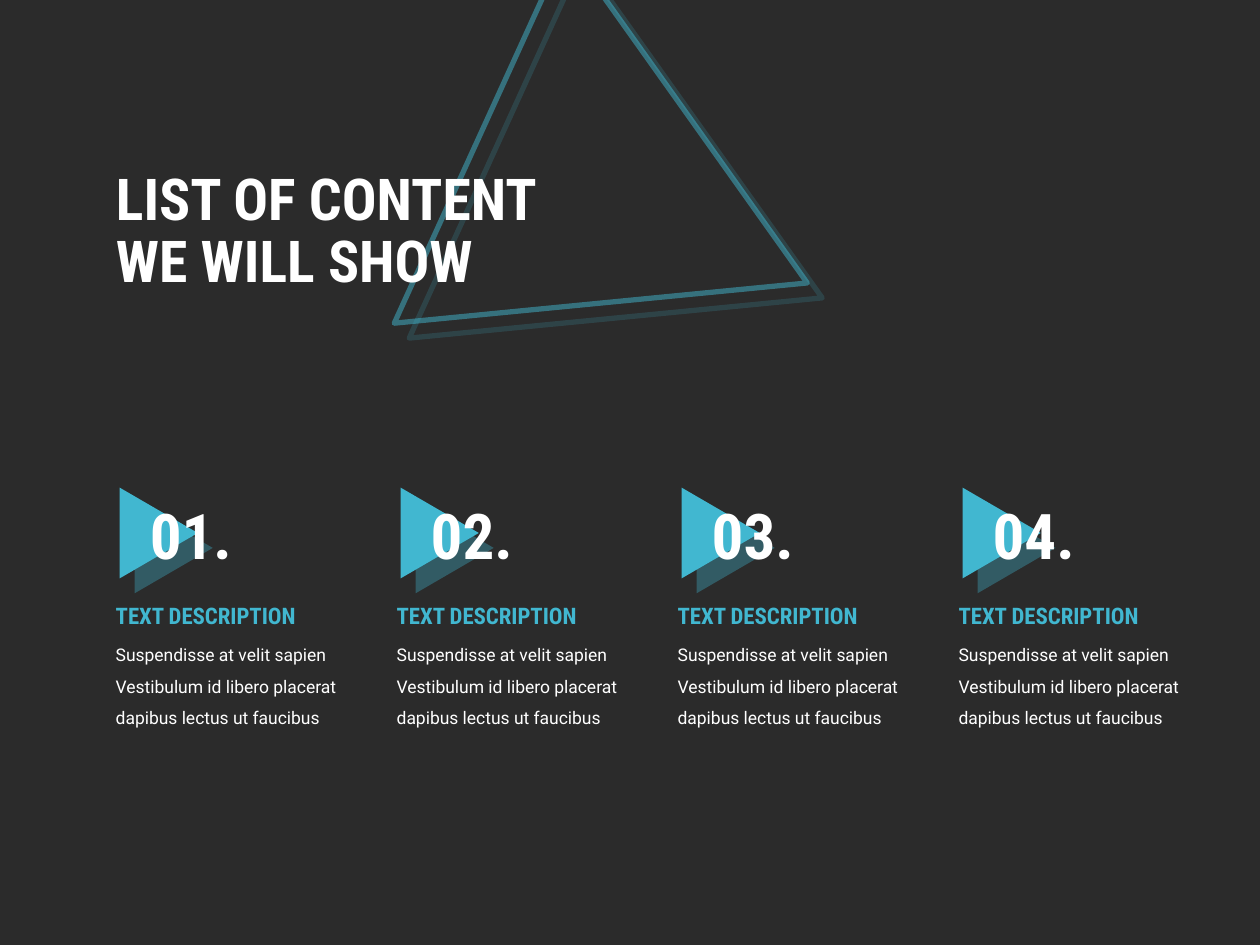
from copy import deepcopy
from dataclasses import dataclass

from lxml.etree import SubElement
from pptx import Presentation
from pptx.dml.color import RGBColor
from pptx.enum.shapes import MSO_SHAPE
from pptx.enum.text import MSO_ANCHOR, MSO_AUTO_SIZE, PP_ALIGN
from pptx.oxml.ns import qn
from pptx.shapes.autoshape import Shape
from pptx.slide import Slide
from pptx.text.text import _Paragraph as Paragraph
from pptx.util import Inches, Pt

BACKGROUND = RGBColor(0x2B, 0x2B, 0x2B)
TEAL = RGBColor(0x41, 0xB7, 0xD0)
WHITE = RGBColor(0xFF, 0xFF, 0xFF)

HEADING_FONT = "Roboto Condensed"
BODY_FONT = "Roboto"
FIRST_COLUMN_LEFT = 0.82
COLUMN_STEP = 2.23


@dataclass(frozen=True)
class TextStyle:
    font: str
    size: float
    color: RGBColor
    bold: bool = True
    line_spacing: float = 1.0


@dataclass(frozen=True)
class ContentItem:
    number: str
    heading: str
    body: str


TITLE_STYLE = TextStyle(HEADING_FONT, 33, WHITE, line_spacing=0.9)
NUMBER_STYLE = TextStyle(HEADING_FONT, 36, WHITE)
HEADING_STYLE = TextStyle(HEADING_FONT, 13, TEAL)
BODY_STYLE = TextStyle(BODY_FONT, 10, WHITE, bold=False, line_spacing=1.5)

BODY = ("Suspendisse at velit sapien Vestibulum id libero placerat "
        "dapibus lectus ut faucibus")
ITEMS = [ContentItem(f"{number:02d}.", "TEXT DESCRIPTION", BODY)
         for number in range(1, 5)]


def set_alpha(color_element, percent: int) -> None:
    SubElement(color_element, qn("a:alpha"), val=str(percent * 1000))


def add_hard_shadow(shape: Shape) -> None:
    """Cast an unblurred, translucent teal shadow to the lower right."""
    shape.shadow.inherit = False
    effects = shape._element.spPr.find(qn("a:effectLst"))
    shadow = SubElement(effects, qn("a:outerShdw"), blurRad="0",
                        dist=str(Pt(12.1)), dir=str(45 * 60000),
                        algn="tl", rotWithShape="0")
    set_alpha(SubElement(shadow, qn("a:srgbClr"), val=str(TEAL)), 35)


def add_triangle(slide: Slide, left: float, top: float, width: float,
                 height: float, rotation: float) -> Shape:
    triangle = slide.shapes.add_shape(
        MSO_SHAPE.ISOSCELES_TRIANGLE,
        Inches(left), Inches(top), Inches(width), Inches(height))
    triangle.rotation = rotation
    add_hard_shadow(triangle)
    return triangle


def add_outlined_triangle(slide: Slide) -> None:
    triangle = add_triangle(slide, 3.46, 0.23, 3.3, 2.85, 114.5)
    triangle.fill.background()
    triangle.line.color.rgb = TEAL
    triangle.line.width = Pt(3)
    set_alpha(triangle.line._ln.find(".//" + qn("a:srgbClr")), 50)


def add_filled_triangle(slide: Slide, left: float) -> None:
    triangle = add_triangle(slide, left, 3.92, 0.72, 0.62, 90)
    triangle.fill.solid()
    triangle.fill.fore_color.rgb = TEAL
    triangle.line.fill.background()


def format_paragraph(paragraph: Paragraph, style: TextStyle) -> None:
    paragraph.alignment = PP_ALIGN.LEFT
    paragraph.line_spacing = style.line_spacing
    for run in paragraph.runs:
        run.font.name = style.font
        run.font.size = Pt(style.size)
        run.font.bold = style.bold
        run.font.color.rgb = style.color


def add_text(slide: Slide, text: str, style: TextStyle, left: float,
             top: float, width: float, height: float) -> None:
    box = slide.shapes.add_textbox(
        Inches(left), Inches(top), Inches(width), Inches(height))
    box.text_frame.word_wrap = True
    box.text_frame.auto_size = MSO_AUTO_SIZE.SHAPE_TO_FIT_TEXT
    box.text_frame.text = text
    format_paragraph(box.text_frame.paragraphs[0], style)


def place_title(slide: Slide, text: str) -> None:
    title = slide.shapes.title
    title.left, title.top = Inches(FIRST_COLUMN_LEFT), Inches(1.06)
    title.width, title.height = Inches(4.22), Inches(1.58)
    title.text_frame.text = text
    title.text_frame.word_wrap = True
    title.text_frame.auto_size = MSO_AUTO_SIZE.NONE
    title.text_frame.vertical_anchor = MSO_ANCHOR.MIDDLE
    paragraph = title.text_frame.paragraphs[0]
    format_paragraph(paragraph, TITLE_STYLE)
    # The line break needs the run's size, or it keeps the layout's larger one.
    run_properties = paragraph.runs[0]._r.rPr
    for line_break in paragraph._p.findall(qn("a:br")):
        line_break.append(deepcopy(run_properties))
    # Bring the title in front of the shapes drawn so far.
    slide.shapes._spTree.append(title._element)


def add_content_item(slide: Slide, item: ContentItem, left: float) -> None:
    add_filled_triangle(slide, left + 0.08)
    add_text(slide, item.number, NUMBER_STYLE, left + 0.27, 3.89, 0.99, 0.7)
    add_text(slide, item.body, BODY_STYLE, left, 4.98, 2.11, 0.85)
    add_text(slide, item.heading, HEADING_STYLE, left, 4.73, 1.84, 0.54)


def main() -> None:
    presentation = Presentation()
    presentation.slide_width = Inches(10)
    presentation.slide_height = Inches(7.5)
    title_only = presentation.slide_layouts.get_by_name("Title Only")
    slide = presentation.slides.add_slide(title_only)
    slide.background.fill.solid()
    slide.background.fill.fore_color.rgb = BACKGROUND

    add_outlined_triangle(slide)
    place_title(slide, "LIST OF CONTENT\vWE WILL SHOW")
    for column, item in enumerate(ITEMS):
        add_content_item(slide, item, FIRST_COLUMN_LEFT + column * COLUMN_STEP)

    presentation.save("out.pptx")


if __name__ == "__main__":
    main()
